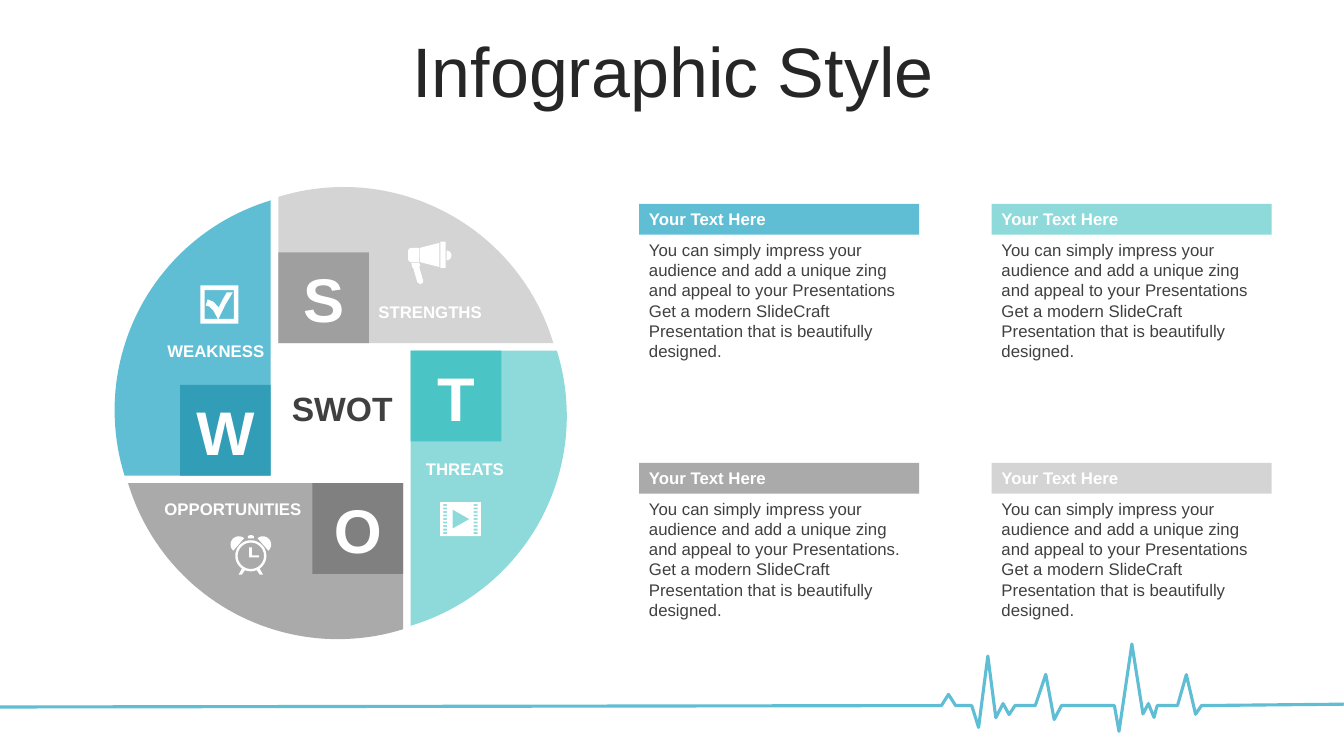
from dataclasses import dataclass
from math import atan2, cos, degrees, hypot, radians, sin

from pptx import Presentation
from pptx.dml.color import RGBColor
from pptx.enum.shapes import MSO_SHAPE as ShapeKind
from pptx.enum.text import MSO_ANCHOR as Anchor, PP_ALIGN as Align
from pptx.util import Pt

Point = tuple[float, float]
Box = tuple[float, float, float, float]

FONT = "Arial"
WHITE, DARK, BLUE = "FFFFFF", "404040", "60BED4"
CENTER_X, CENTER_Y = 243.4, 295.1
CORNER_X, CORNER_Y = 44.6, 50
SQUARE = 64.8
ARC_CENTER = (-2, 5)
CARD_WIDTH, HEADER_HEIGHT, BODY_HEIGHT = 200, 22, 94.3
CARD_LEFT, CARD_TOP, CARD_STEP_X, CARD_STEP_Y = 456.5, 145.7, 251.8, 185


@dataclass
class Blade:
    letter: str
    name: str
    quarter_turns: int
    fill: str
    square_fill: str
    label: Box
    align: Align


@dataclass
class Card:
    column: int
    row: int
    fill: str
    stop: str = ""


BLADES = [
    Blade("O", "OPPORTUNITIES", 0, "AAAAAA", "808080", (100.1, 352.8, 122.4, 21.6), Align.RIGHT),
    Blade("T", "THREATS", 1, "8EDADA", "4AC4C4", (297.1, 324.2, 111.6, 21.6), Align.LEFT),
    Blade("S", "STRENGTHS", 2, "D4D4D4", "9F9F9F", (263.2, 211.9, 126.7, 21.6), Align.LEFT),
    Blade("W", "WEAKNESS", 3, BLUE, "319DB6", (78.5, 239.8, 117.4, 21.6), Align.RIGHT),
]
CARDS = [
    Card(0, 0, BLUE),
    Card(1, 0, "8EDADA"),
    Card(0, 1, "AAAAAA", "."),
    Card(1, 1, "D4D4D4"),
]
PULSE = [
    (0, 505), (672.5, 504), (677.5, 496), (682.6, 504), (694.1, 504), (699, 519.6),
    (705.6, 468.6), (711.3, 512.6), (716.5, 502.6), (720.8, 510.4), (725, 504),
    (739.5, 504), (747, 481.7), (753, 514), (758.2, 504), (796, 504), (799.3, 522.4),
    (808.5, 460), (816.4, 510), (820.3, 502.6), (824.3, 512.4), (826.6, 504),
    (841.1, 504), (847.4, 481.9), (854, 510.2), (858.2, 504), (960, 503),
]


def color(value: str) -> RGBColor:
    return RGBColor.from_string(value)


def rectangle(left: float, top: float, right: float, bottom: float) -> list[Point]:
    return [(left, top), (right, top), (right, bottom), (left, bottom)]


def arc(center: Point, radius: float, start: float, end: float, steps: int = 48) -> list[Point]:
    angles = [radians(start + (end - start) * step / steps) for step in range(steps + 1)]
    return [(center[0] + radius * cos(a), center[1] + radius * sin(a)) for a in angles]


def mirror(points: list[Point], axis: float) -> list[Point]:
    return [(2 * axis - x, y) for x, y in points]


def turn(points: list[Point], quarter_turns: int) -> list[Point]:
    for _ in range(quarter_turns):
        points = [(y, -x) for x, y in points]
    return [(CENTER_X + x, CENTER_Y + y) for x, y in points]


def add_outline(contours: list[list[Point]], fill: str = "", line: str = "") -> None:
    scaled = [[(Pt(x), Pt(y)) for x, y in contour] for contour in contours]
    builder = slide.shapes.build_freeform(*scaled[0][0])
    for index, contour in enumerate(scaled):
        if index:
            builder.move_to(*contour[0])
        builder.add_line_segments(contour[1:], close=bool(fill))
    shape = builder.convert_to_shape()
    shape.shadow.inherit = False
    if fill:
        shape.fill.solid()
        shape.fill.fore_color.rgb = color(fill)
        shape.line.fill.background()
    else:
        shape.fill.background()
        shape.line.color.rgb = color(line)
        shape.line.width = Pt(2.25)


def add_text(text: str, box: Box, *, size: float = 12, font_color: str = WHITE,
             bold: bool = False, align: Align = Align.LEFT, anchor: Anchor = Anchor.TOP,
             spacing: float = 1, fill: str = "") -> None:
    place = [Pt(length) for length in box]
    if fill:
        shape = slide.shapes.add_shape(ShapeKind.RECTANGLE, *place)
        shape.shadow.inherit = False
        shape.fill.solid()
        shape.fill.fore_color.rgb = color(fill)
        shape.line.fill.background()
    else:
        shape = slide.shapes.add_textbox(*place)
    frame = shape.text_frame
    frame.word_wrap = True
    frame.vertical_anchor = anchor
    if not text:
        return
    paragraph = frame.paragraphs[0]
    paragraph.text = text
    paragraph.alignment = align
    paragraph.line_spacing = spacing
    font = paragraph.runs[0].font
    font.name, font.size, font.bold = FONT, Pt(size), bold
    font.color.rgb = color(font_color)


def add_blade(blade: Blade) -> None:
    arc_x, arc_y = ARC_CENTER
    start = (CORNER_X, 154.4)
    end = (-152.4, CORNER_Y)
    angles = [degrees(atan2(y - arc_y, x - arc_x)) for x, y in (start, end)]
    radius = hypot(start[0] - arc_x, start[1] - arc_y)
    rim = arc(ARC_CENTER, radius, *angles)
    add_outline([turn([end, (CORNER_X, CORNER_Y), *rim], blade.quarter_turns)], blade.fill)
    corners = turn(rectangle(CORNER_X - SQUARE, CORNER_Y, CORNER_X, CORNER_Y + SQUARE),
                   blade.quarter_turns)
    left, top = min(x for x, _ in corners), min(y for _, y in corners)
    add_text("", (left, top, SQUARE, SQUARE), fill=blade.square_fill)
    add_text(blade.letter, (left + 3.2, top + 2.8, 58.4, 60.5), size=44, bold=True,
             align=Align.CENTER)
    add_text(blade.name, blade.label, bold=True, align=blade.align)


def add_card(card: Card) -> None:
    left = CARD_LEFT + card.column * CARD_STEP_X
    top = CARD_TOP + card.row * CARD_STEP_Y
    add_text("Your Text Here", (left, top, CARD_WIDTH, HEADER_HEIGHT), bold=True, fill=card.fill)
    add_text("You can simply impress your audience and add a unique zing and appeal to your "
             f"Presentations{card.stop} Get a modern SlideCraft Presentation that is "
             "beautifully designed.",
             (left, top + HEADER_HEIGHT, CARD_WIDTH, BODY_HEIGHT), font_color=DARK)


def add_clock() -> None:
    center = (179.2, 397)
    leg = [(172.8, 410.4), (170.5, 410.4), (172.9, 406.1), (175, 407.3)]
    ear = arc((170.6, 389), 5.9, -50, -228, 24)
    hands = [(178, 391), (180, 391), (180, 396.7), (185, 396.7), (185, 398.2), (178, 398.2)]
    cap = [(177, 384.5), (177, 383), (178.5, 382.2), (180, 382.2), (181.4, 383), (181.4, 384.5)]
    rings = [arc(center, radius, 0, 360) for radius in (11.1, 9.4)]
    pairs = [part for side in (leg, ear) for part in (side, mirror(side, center[0]))]
    add_outline([*rings, hands, cap, *pairs], WHITE)


def add_checkbox() -> None:
    tick = [(146.9, 218.2), (148.3, 213.8), (152.6, 215.6), (156.2, 219.6), (158.8, 214.4),
            (162, 208.8), (166.3, 208.8), (161, 217.6), (156.2, 227.5), (155.5, 227.5),
            (152.2, 221.5), (149.6, 218.9)]
    add_outline([rectangle(143.2, 203.8, 170.2, 231.1),
                 rectangle(146.2, 207.2, 167, 227.8), tick], WHITE)


def add_megaphone() -> None:
    handle = [(293.8, 187.9), (299.5, 187.9), (300.2, 189.4), (299.5, 190.8), (302.4, 200.9),
              (301.7, 202.3), (300.2, 203), (298.1, 201.6), (295.2, 191.5), (294.5, 190.8)]
    body = [(293, 177.1), (299.5, 177.1), (299.5, 187.2), (293, 187.2), (291.6, 185.8),
            (291.6, 178.6)]
    horn = [(313.9, 173.5), (313.9, 190.8), (299.9, 187.2), (299.9, 177.1)]
    knob = arc((319, 182.5), 3.5, -90, 90, 12)
    add_outline([handle, body, horn, rectangle(314.6, 172.6, 318.3, 191.4), knob], WHITE)


def add_film() -> None:
    holes = [rectangle(left, 360 + 2.52 * row, left + 2.8, 361.3 + 2.52 * row)
             for left in (316.6, 338.4) for row in range(9)]
    play = [(323.3, 363.9), (323.3, 377.6), (335.4, 370.8)]
    add_outline([rectangle(314.4, 358.6, 343.6, 382.9), play, *holes], WHITE)


presentation = Presentation()
presentation.slide_width, presentation.slide_height = Pt(960), Pt(540)
slide = presentation.slides.add_slide(presentation.slide_layouts[6])

add_outline([PULSE], line=BLUE)
add_text("Infographic Style", (25.2, 26.6, 911.5, 56.9), size=50, font_color="262626",
         align=Align.CENTER, anchor=Anchor.MIDDLE, spacing=0.8)
for blade in BLADES:
    add_blade(blade)
add_text("SWOT", (198, 273.6, 92.9, 36), size=24, font_color=DARK, bold=True, align=Align.CENTER)
add_clock()
add_checkbox()
add_megaphone()
add_film()
for card in CARDS:
    add_card(card)

presentation.save("out.pptx")
